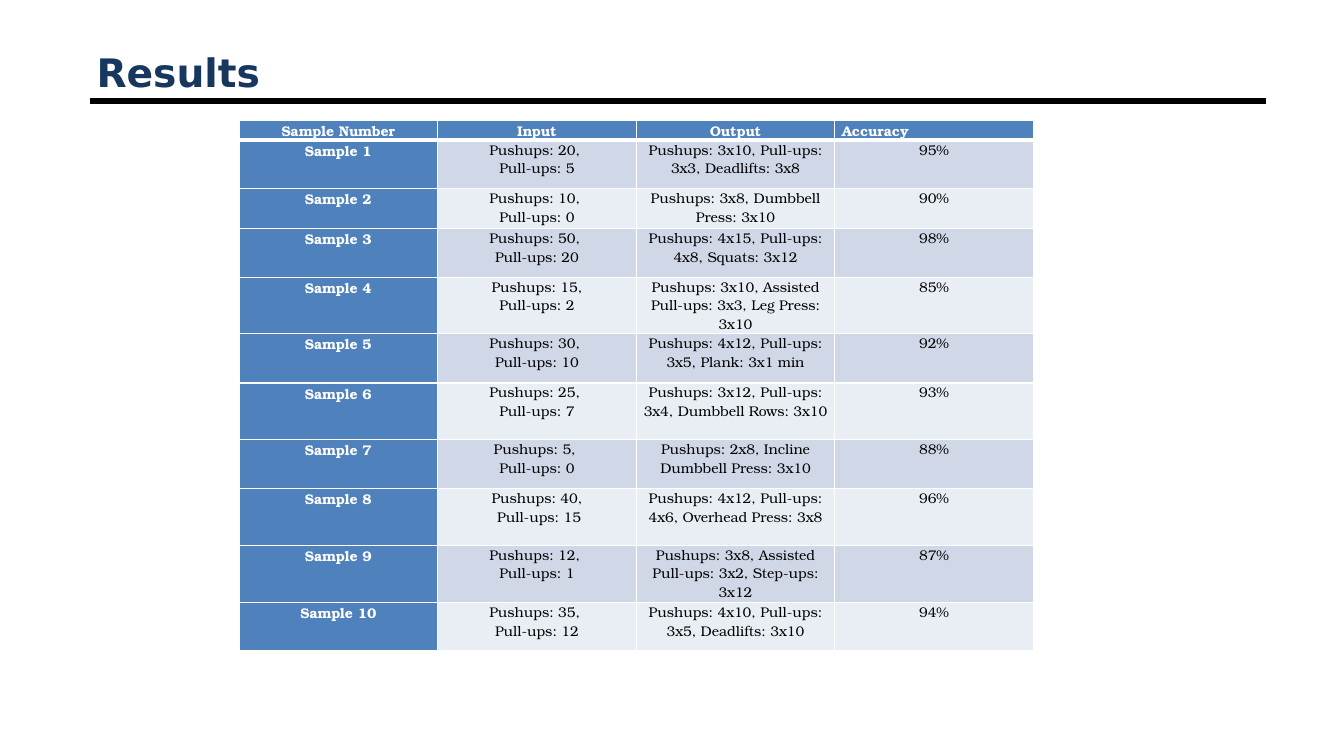
from lxml.etree import SubElement
from pptx import Presentation
from pptx.dml.color import RGBColor
from pptx.enum.shapes import MSO_CONNECTOR
from pptx.enum.text import MSO_ANCHOR, PP_ALIGN
from pptx.oxml.ns import qn
from pptx.util import Inches, Pt

TITLE = "Results"
HEADINGS = ["Sample Number", "Input", "Output", "Accuracy"]
# Input lines, output, accuracy, row height in inches
SAMPLES = [
    ("Pushups: 20, \nPull-ups: 5", "Pushups: 3x10, Pull-ups: 3x3, Deadlifts: 3x8", "95%", 0.48),
    ("Pushups: 10, \nPull-ups: 0", "Pushups: 3x8, Dumbbell Press: 3x10", "90%", 0.4),
    ("Pushups: 50, \nPull-ups: 20", "Pushups: 4x15, Pull-ups: 4x8, Squats: 3x12", "98%", 0.48),
    ("Pushups: 15,\nPull-ups: 2", "Pushups: 3x10, Assisted Pull-ups: 3x3, Leg Press: 3x10", "85%", 0.56),
    ("Pushups: 30, \nPull-ups: 10", "Pushups: 4x12, Pull-ups: 3x5, Plank: 3x1 min", "92%", 0.49),
    ("Pushups: 25, \nPull-ups: 7", "Pushups: 3x12, Pull-ups: 3x4, Dumbbell Rows: 3x10", "93%", 0.56),
    ("Pushups: 5, \nPull-ups: 0", "Pushups: 2x8, Incline Dumbbell Press: 3x10", "88%", 0.49),
    ("Pushups: 40,\n Pull-ups: 15", "Pushups: 4x12, Pull-ups: 4x6, Overhead Press: 3x8", "96%", 0.56),
    ("Pushups: 12, \nPull-ups: 1", "Pushups: 3x8, Assisted Pull-ups: 3x2, Step-ups: 3x12", "87%", 0.57),
    ("Pushups: 35, \nPull-ups: 12", "Pushups: 4x10, Pull-ups: 3x5, Deadlifts: 3x10", "94%", 0.48),
]
HEADER_HEIGHT = 0.2
COLUMN_WIDTH = 1.97
TABLE_LEFT, TABLE_TOP = 2.37, 1.19
BLUE, BANDS = "4F81BD", ["D0D8E8", "E9EDF4"]
WHITE, BLACK, NAVY = "FFFFFF", "000000", "17375E"
TITLE_FONT = {"name": "DejaVu Sans", "size": Pt(28), "bold": True}
CELL_FONT = {"name": "TeX Gyre Bonum", "size": Pt(10)}
CELL_MARGINS = {"margin_left": Inches(0.07), "margin_right": Inches(0.07),
                "margin_top": 0, "margin_bottom": 0}


def color(hex_value):
    return RGBColor.from_string(hex_value)


def apply(target, values):
    for name, value in values.items():
        setattr(target, name, value)


def write(frame, text, font, hex_value, alignment):
    """Put each line of the text in its own formatted paragraph."""
    for index, line in enumerate(text.split("\n")):
        para = frame.add_paragraph() if index else frame.paragraphs[0]
        para.alignment = alignment
        span = para.add_run()
        span.text = line
        apply(span.font, font)
        span.font.color.rgb = color(hex_value)


def add_borders(cell, bottom_width):
    """Draw white cell borders; they must precede the fill in the XML."""
    properties = cell._tc.get_or_add_tcPr()
    for side, width in {"L": 1, "R": 1, "T": 1, "B": bottom_width}.items():
        line = SubElement(properties, qn(f"a:ln{side}"), w=str(Pt(width)))
        fill = SubElement(line, qn("a:solidFill"))
        SubElement(fill, qn("a:srgbClr"), val=WHITE)


def add_heading(page):
    rule = page.shapes.add_connector(
        MSO_CONNECTOR.STRAIGHT, Inches(0.89), Inches(1), Inches(12.56), Inches(1))
    rule.line.color.rgb = color(BLACK)
    rule.line.width = Pt(4.5)
    SubElement(rule._element.spPr, qn("a:effectLst"))

    box = page.shapes.add_textbox(Inches(0.86), Inches(0.45), Inches(11.67), Inches(0.53))
    apply(box.text_frame, {"word_wrap": True, "vertical_anchor": MSO_ANCHOR.MIDDLE})
    write(box.text_frame, TITLE, TITLE_FONT, NAVY, PP_ALIGN.LEFT)


def add_results(page):
    rows = [HEADINGS] + [[f"Sample {number}", *sample[:3]]
                         for number, sample in enumerate(SAMPLES, 1)]
    heights = [HEADER_HEIGHT] + [sample[3] for sample in SAMPLES]
    table = page.shapes.add_table(
        len(rows), len(HEADINGS), Inches(TABLE_LEFT), Inches(TABLE_TOP),
        Inches(COLUMN_WIDTH * len(HEADINGS)), Inches(sum(heights))).table
    for column in table.columns:
        column.width = Inches(COLUMN_WIDTH)
    for r, texts in enumerate(rows):
        table.rows[r].height = Inches(heights[r])
        for c, text in enumerate(texts):
            cell = table.cell(r, c)
            strong = r == 0 or c == 0
            apply(cell, CELL_MARGINS)
            add_borders(cell, 3 if r == 0 else 1)
            cell.fill.solid()
            cell.fill.fore_color.rgb = color(BLUE if strong else BANDS[(r - 1) % 2])
            alignment = PP_ALIGN.LEFT if text == "Accuracy" else PP_ALIGN.CENTER
            write(cell.text_frame, text, {**CELL_FONT, "bold": strong},
                  WHITE if strong else BLACK, alignment)


def main():
    deck = Presentation()
    apply(deck, {"slide_width": Inches(13.33), "slide_height": Inches(7.5)})
    page = deck.slides.add_slide(deck.slide_layouts[6])
    add_heading(page)
    add_results(page)
    deck.save("out.pptx")


if __name__ == "__main__":
    main()
